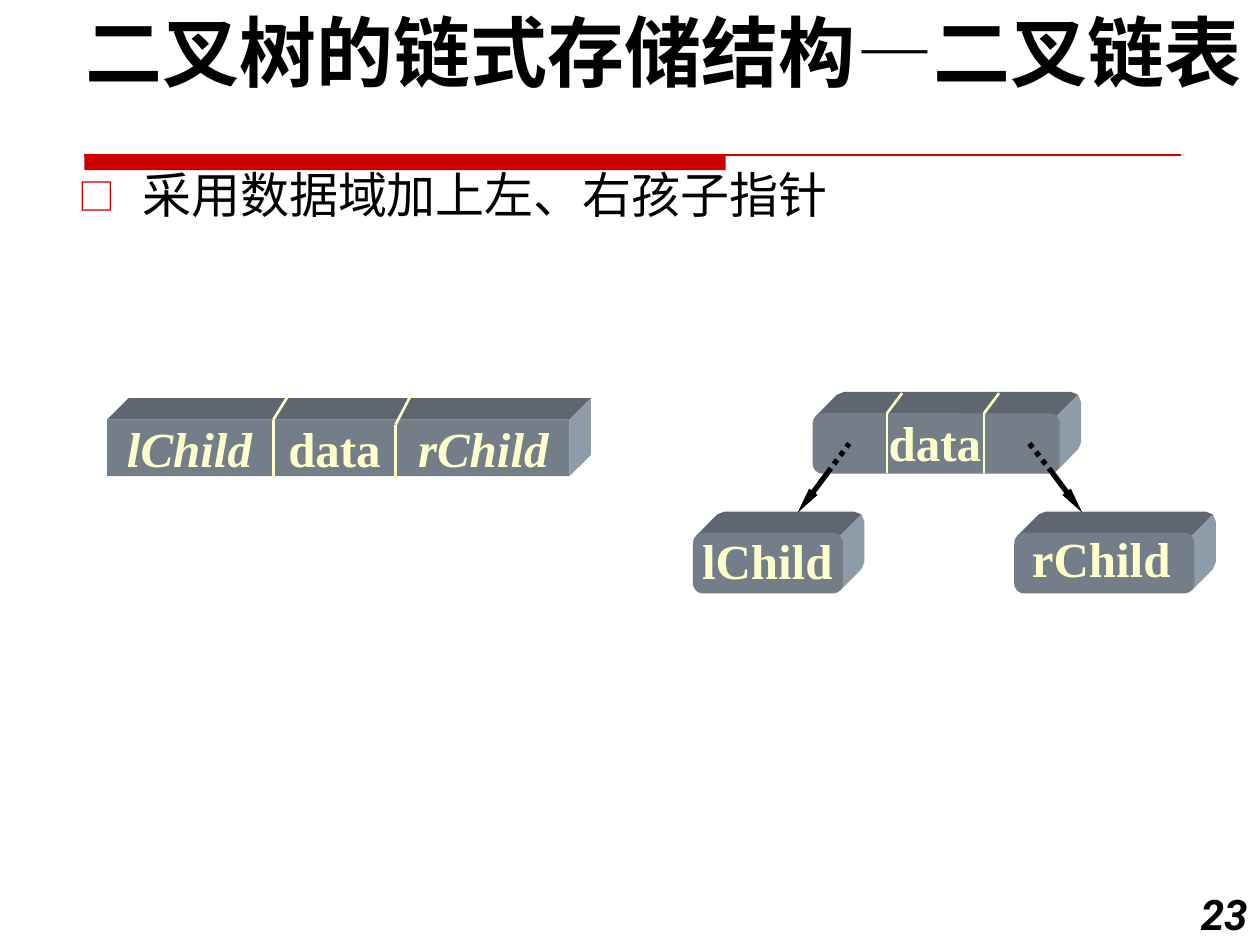
from dataclasses import dataclass

from lxml.etree import SubElement
from pptx import Presentation
from pptx.dml.color import RGBColor
from pptx.enum.dml import MSO_LINE as Dash
from pptx.enum.shapes import MSO_CONNECTOR as Link, MSO_SHAPE as Preset
from pptx.enum.text import MSO_ANCHOR as Anchor, MSO_AUTO_SIZE as Fit, PP_ALIGN as Align
from pptx.oxml.ns import qn
from pptx.util import Inches, Pt


@dataclass(frozen=True)
class Theme:
    black: str = "000000"
    red: str = "CC0000"
    cream: str = "FFFFCC"
    front: str = "737E89"
    top: str = "5F666F"
    side: str = "8E9BA8"
    heading: str = "Roboto"
    chinese: str = "Noto Sans CJK SC"
    serif: str = "Times New Roman"
    title_size: int = 44
    text_size: int = 28
    number_size: int = 24


THEME = Theme()
COLUMNS, ROWS = 100, 75          # square grid over the slide
CELL = Inches(10) // COLUMNS
DEPTH = 1.7                      # how far a block reaches back, in cells
ROUND = 0.167                    # corner radius as share of block height


def cells(*counts):
    return [round(count * CELL) for count in counts]


def rgb(code):
    return RGBColor.from_string(code)


def paint(shape, color):
    shape.shadow.inherit = False
    shape.fill.solid()
    shape.fill.fore_color.rgb = rgb(color)
    shape.line.fill.background()


def write(para, text, *, size=THEME.text_size, font=THEME.serif, color=THEME.cream,
          bold=True, italic=False):
    span = para.add_run()
    span.text = text
    face = span.font
    face.size, face.name, face.bold, face.italic = Pt(size), font, bold, italic
    face.color.rgb = rgb(color)
    SubElement(face._element, qn("a:ea")).set("typeface", THEME.chinese)


def place(shape, area, *, align, anchor=Anchor.TOP, wrap=True):
    """Move a text shape and return its first paragraph."""
    shape.left, shape.top, shape.width, shape.height = cells(*area)
    frame = shape.text_frame
    frame.auto_size, frame.word_wrap, frame.vertical_anchor = Fit.NONE, wrap, anchor
    para = frame.paragraphs[0]
    para.alignment, para.space_before = align, Pt(0)
    return para


def add_label(slide, area, *, align=Align.CENTER, anchor=Anchor.MIDDLE, wrap=False):
    box = slide.shapes.add_textbox(*cells(*area))
    return place(box, area, align=align, anchor=anchor, wrap=wrap)


def add_line(slide, start, end, *, color=THEME.cream, width=1.5, dash=None, arrow=False):
    line = slide.shapes.add_connector(Link.STRAIGHT, *cells(*start, *end))
    line.line.color.rgb, line.line.width = rgb(color), Pt(width)
    if dash:
        line.line.dash_style = dash
    if arrow:
        tip = SubElement(line.line._get_or_add_ln(), qn("a:tailEnd"))
        for key, value in (("type", "triangle"), ("w", "sm"), ("len", "lg")):
            tip.set(key, value)
    SubElement(line._element.spPr, qn("a:effectLst"))


def add_face(slide, points, color):
    first, *rest = [cells(*point) for point in points]
    builder = slide.shapes.build_freeform(*first)
    builder.add_line_segments(rest, close=True)
    paint(builder.convert_to_shape(), color)


def add_block(slide, left, top, width, height, *, rounding=0):
    """Solid block: top and side faces run back to the upper right."""
    right, bottom = left + width, top + height
    radius = rounding * height
    cut = radius * 0.29          # where a 45 degree edge meets the corner arc
    back_top, back_right = top - DEPTH, right + DEPTH
    ridge = [(right - cut, top + cut), (back_right - cut, back_top + cut)]
    add_face(slide, [(left + cut, top + cut), (left + cut + DEPTH, back_top + cut),
                     (left + radius + DEPTH, back_top),
                     (back_right - radius, back_top), *reversed(ridge)], THEME.top)
    add_face(slide, [*ridge, (back_right, back_top + radius),
                     (back_right, bottom - DEPTH - radius),
                     (back_right - cut, bottom - DEPTH - cut),
                     (right - cut, bottom - cut)], THEME.side)
    preset = Preset.ROUNDED_RECTANGLE if rounding else Preset.RECTANGLE
    front = slide.shapes.add_shape(preset, *cells(left, top, width, height))
    if rounding:
        front.adjustments[0] = rounding
    paint(front, THEME.front)


def add_divider(slide, column, top, bottom, back):
    """Cut between two fields: down the front and back over the top."""
    add_line(slide, (column, bottom), (column, top))
    add_line(slide, (column, top), back)


def add_heading(slide):
    # Red rule under the title
    bar = slide.shapes.add_shape(Preset.RECTANGLE, *cells(6.7, 12.3, 50.9, 1.2))
    paint(bar, THEME.red)
    add_line(slide, (6.7, 12.3), (93.7, 12.3), color=THEME.red, width=0.75)

    # Title
    para = place(slide.shapes.title, (4.2, 0.7, 96.9, 8.4), align=Align.CENTER)
    para.line_spacing = 0.9
    look = dict(size=THEME.title_size, color=THEME.black)
    write(para, "二叉树的链式存储结构", font=THEME.heading, **look)
    write(para, "—", font=THEME.chinese, bold=False, **look)
    write(para, "二叉链表", font=THEME.heading, **look)


def add_body(slide):
    para = place(slide.placeholders[1], (5.2, 13.1, 95.8, 44.2), align=Align.LEFT)
    para.line_spacing = 0.9
    props = para._p.get_or_add_pPr()
    indent = Inches(0.51)
    props.set("marL", str(indent))
    props.set("indent", str(-indent))
    color = SubElement(props, qn("a:buClr"))
    SubElement(color, qn("a:srgbClr")).set("val", THEME.red)
    SubElement(props, qn("a:buSzPct")).set("val", "75000")
    SubElement(props, qn("a:buFont")).set("typeface", THEME.chinese)
    SubElement(props, qn("a:buChar")).set("char", "□")
    write(para, "采用数据域加上左、右孩子指针", font=THEME.chinese, color=THEME.black, bold=False)


def add_record(slide):
    """Node layout with its three fields."""
    add_block(slide, 8.5, 33.3, 36.7, 4.5)
    for column, top, bottom in ((21.7, 33.3, 37.9), (31.4, 33.7, 38.2)):
        add_divider(slide, column, top, bottom, (column + 1.3, 31.2))
    para = add_label(slide, (9.1, 32.7, 36, 5.7), align=Align.LEFT, wrap=True)
    tabs = SubElement(para._p.get_or_add_pPr(), qn("a:tabLst"))
    for stop in (1.28, 2.31):
        tab = SubElement(tabs, qn("a:tab"))
        tab.set("pos", str(Inches(stop)))
        tab.set("algn", "l")
    write(para, "lChild\t", italic=True)
    write(para, "data\t")
    write(para, "rChild", italic=True)


def add_tree(slide):
    """Parent node pointing to its two children."""
    for left, top, width in ((64.5, 32.8, 19.6), (80.5, 42.3, 14.3), (55, 42.3, 11.9)):
        add_block(slide, left, top, width, 4.8, rounding=ROUND)
    for column in (70.4, 78.1):
        add_divider(slide, column, 32.8, 37.5, (column + 1.2, 31.2))
    for text, area in (("data", (69.5, 32.2, 9.4, 5.7)),
                       ("lChild", (54.7, 41.6, 12.4, 5.7)),
                       ("rChild", (80.9, 41.4, 13, 5.7))):
        write(add_label(slide, area), text)

    # Each pointer is dotted inside the parent and solid outside it
    pointer = dict(color=THEME.black, width=3)
    for inside, edge, child in ((67.4, 65.7, 63.3), (81.7, 83.5, 85.9)):
        add_line(slide, (edge, 37.5), (inside, 35.2), dash=Dash.ROUND_DOT, **pointer)
        add_line(slide, (edge, 37.5), (child, 40.7), arrow=True, **pointer)


def add_page_number(slide):
    para = add_label(slide, (93.3, 70, 6.7, 5), align=Align.RIGHT,
                     anchor=Anchor.TOP, wrap=True)
    write(para, "23", size=THEME.number_size, font=THEME.heading,
          color=THEME.black, italic=True)


def main():
    deck = Presentation()
    deck.slide_width, deck.slide_height = COLUMNS * CELL, ROWS * CELL
    page = deck.slides.add_slide(deck.slide_layouts[1])
    add_heading(page)
    add_body(page)
    add_record(page)
    add_tree(page)
    add_page_number(page)
    deck.save("out.pptx")


if __name__ == "__main__":
    main()
